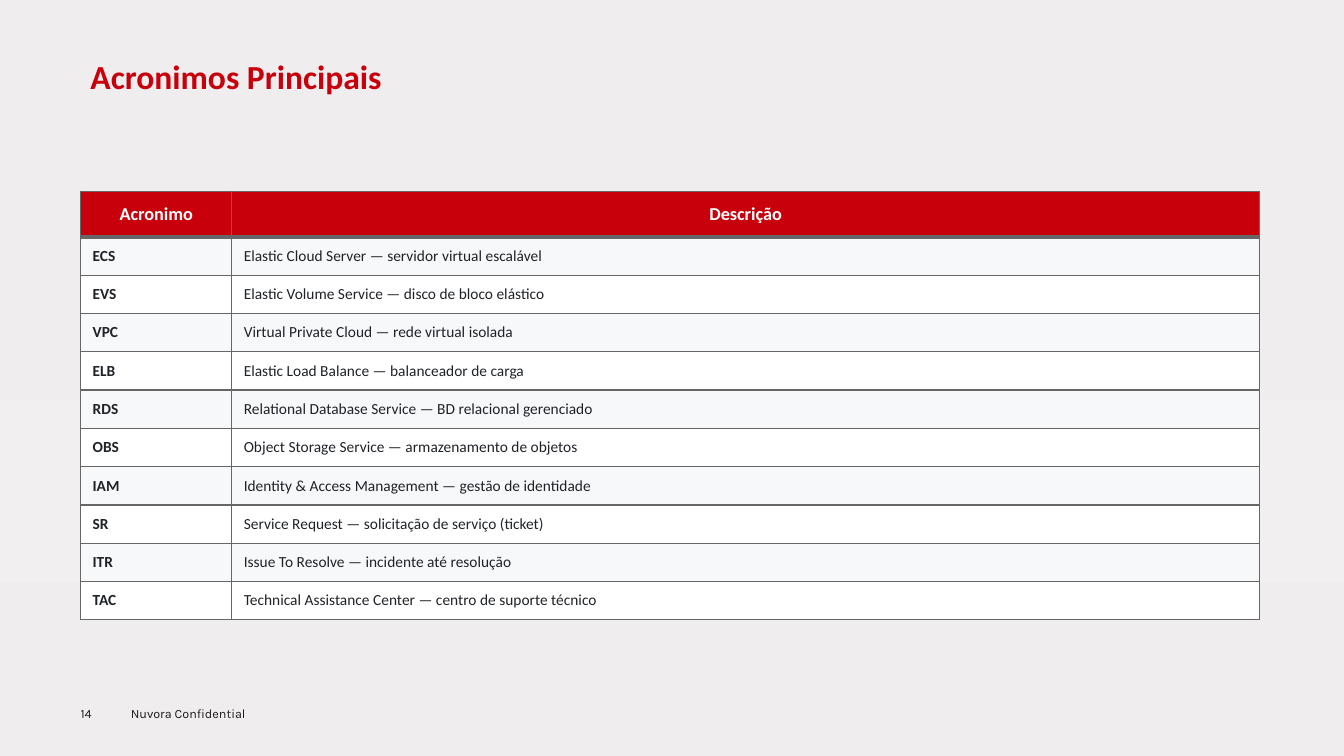
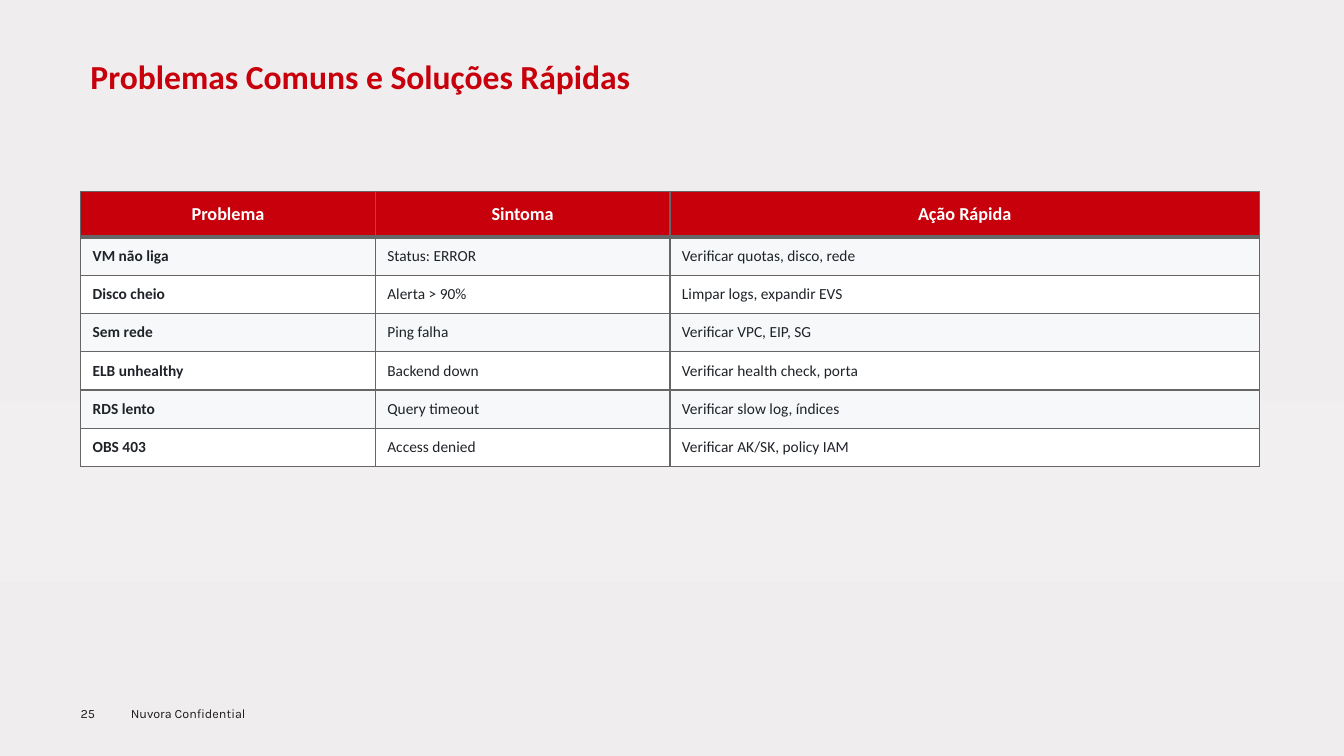
from dataclasses import dataclass

from lxml import etree
from pptx import Presentation
from pptx.dml.color import RGBColor
from pptx.enum.text import MSO_ANCHOR, PP_ALIGN
from pptx.oxml.ns import qn
from pptx.util import Inches, Pt

MIDDLE = MSO_ANCHOR.MIDDLE
LEFT, CENTER = PP_ALIGN.LEFT, PP_ALIGN.CENTER

COLORS = {
    "red": "C7000B",
    "white": "FFFFFF",
    "stripe": "F6F8FA",
    "ink": "1F2328",
    "footer": "1D1D1B",
    "border": "666666",
}
BACKGROUND_STOPS = ((0, "EFEDEE"), (53, "F1EFF0"), (77, "EFEDEE"), (100, "EFEBEC"))

MARGIN_LEFT = 0.8
TABLE_TOP = 1.9
TABLE_WIDTH = 11.7
HEADER_HEIGHT = 0.45
ROW_HEIGHT = 0.38
BORDER_POINTS = 1
HEADER_RULE_POINTS = 3
FOOTER_TEXT = "Nuvora Confidential"


@dataclass(frozen=True)
class TextStyle:
    font: str
    size: int
    color: str
    bold: bool = False
    alignment: PP_ALIGN = LEFT
    line_spacing: float = 1.0


@dataclass(frozen=True)
class Box:
    left: float
    top: float
    width: float
    height: float
    inset_x: float = 0.1
    inset_y: float = 0.05


@dataclass(frozen=True)
class TableSlide:
    number: int
    title: str
    column_shares: tuple[float, ...]
    header: tuple[str, ...]
    rows: tuple[tuple[str, ...], ...]


TITLE_STYLE = TextStyle("Calibri", 24, "red", bold=True, line_spacing=0.9)
FOOTER_STYLE = TextStyle("Karla", 9, "footer")
HEADER_STYLE = TextStyle("Calibri", 13, "white", bold=True, alignment=CENTER)
KEY_STYLE = TextStyle("Calibri", 11, "ink", bold=True)
BODY_STYLE = TextStyle("Calibri", 11, "ink")

TITLE_BOX = Box(MARGIN_LEFT, 0.55, TABLE_WIDTH, 0.5)
FOOTER_BOX = Box(1.2, 6.95, 3.83, 0.25)
NUMBER_BOX = Box(MARGIN_LEFT, 7, 0.55, 0.15, inset_x=0, inset_y=0)

SLIDES = (
    TableSlide(
        14,
        "Acronimos Principais",
        (1.5, 10.2),
        ("Acronimo", "Descrição"),
        (
            ("ECS", "Elastic Cloud Server — servidor virtual escalável"),
            ("EVS", "Elastic Volume Service — disco de bloco elástico"),
            ("VPC", "Virtual Private Cloud — rede virtual isolada"),
            ("ELB", "Elastic Load Balance — balanceador de carga"),
            ("RDS", "Relational Database Service — BD relacional gerenciado"),
            ("OBS", "Object Storage Service — armazenamento de objetos"),
            ("IAM", "Identity & Access Management — gestão de identidade"),
            ("SR", "Service Request — solicitação de serviço (ticket)"),
            ("ITR", "Issue To Resolve — incidente até resolução"),
            ("TAC", "Technical Assistance Center — centro de suporte técnico"),
        ),
    ),
    TableSlide(
        25,
        "Problemas Comuns e Soluções Rápidas",
        (1, 1, 2),
        ("Problema", "Sintoma", "Ação Rápida"),
        (
            ("VM não liga", "Status: ERROR", "Verificar quotas, disco, rede"),
            ("Disco cheio", "Alerta > 90%", "Limpar logs, expandir EVS"),
            ("Sem rede", "Ping falha", "Verificar VPC, EIP, SG"),
            ("ELB unhealthy", "Backend down", "Verificar health check, porta"),
            ("RDS lento", "Query timeout", "Verificar slow log, índices"),
            ("OBS 403", "Access denied", "Verificar AK/SK, policy IAM"),
        ),
    ),
)


def set_attributes(target, values: dict) -> None:
    for name, value in values.items():
        setattr(target, name, value)


def margins(horizontal: float, vertical: float) -> dict:
    return {
        "margin_left": Inches(horizontal),
        "margin_right": Inches(horizontal),
        "margin_top": Inches(vertical),
        "margin_bottom": Inches(vertical),
    }


def write_text(text_frame, text: str, style: TextStyle) -> None:
    paragraph = text_frame.paragraphs[0]
    set_attributes(
        paragraph,
        {"alignment": style.alignment, "line_spacing": style.line_spacing},
    )
    run = paragraph.add_run()
    run.text = text
    set_attributes(
        run.font,
        {"name": style.font, "size": Pt(style.size), "bold": style.bold},
    )
    run.font.color.rgb = RGBColor.from_string(COLORS[style.color])


def add_text(slide, box: Box, text: str, style: TextStyle) -> None:
    shape = slide.shapes.add_textbox(
        Inches(box.left), Inches(box.top), Inches(box.width), Inches(box.height)
    )
    frame_format = {"word_wrap": True, **margins(box.inset_x, box.inset_y)}
    set_attributes(shape.text_frame, frame_format)
    write_text(shape.text_frame, text, style)


def set_background(master) -> None:
    fill = master.background.fill
    fill.gradient()
    fill.gradient_angle = 270
    stop_list = next(master.element.iter(qn("a:gsLst")))
    for stop in list(stop_list):
        stop_list.remove(stop)
    for percent, color in BACKGROUND_STOPS:
        stop = etree.SubElement(stop_list, qn("a:gs"), pos=str(percent * 1000))
        etree.SubElement(stop, qn("a:srgbClr"), val=color)


def set_borders(cell, top: float, bottom: float) -> None:
    properties = cell._tc.get_or_add_tcPr()
    widths = {"lnL": BORDER_POINTS, "lnR": BORDER_POINTS, "lnT": top, "lnB": bottom}
    for index, (tag, width) in enumerate(widths.items()):
        line = etree.Element(qn(f"a:{tag}"), w=str(Pt(width)))
        fill = etree.SubElement(line, qn("a:solidFill"))
        etree.SubElement(fill, qn("a:srgbClr"), val=COLORS["border"])
        properties.insert(index, line)


def format_cell(cell, text: str, row: int, column: int) -> None:
    if row == 0:
        style, fill_color, inset_y = HEADER_STYLE, "red", 0.04
    else:
        style = KEY_STYLE if column == 0 else BODY_STYLE
        fill_color = "stripe" if row % 2 else "white"
        inset_y = 0.03
    set_attributes(cell, {"vertical_anchor": MIDDLE, **margins(0.12, inset_y)})
    cell.fill.solid()
    cell.fill.fore_color.rgb = RGBColor.from_string(COLORS[fill_color])
    set_borders(
        cell,
        top=HEADER_RULE_POINTS if row == 1 else BORDER_POINTS,
        bottom=HEADER_RULE_POINTS if row == 0 else BORDER_POINTS,
    )
    write_text(cell.text_frame, text, style)


def add_data_table(slide, content: TableSlide) -> None:
    rows = (content.header, *content.rows)
    table = slide.shapes.add_table(
        len(rows),
        len(content.header),
        Inches(MARGIN_LEFT),
        Inches(TABLE_TOP),
        Inches(TABLE_WIDTH),
        Inches(HEADER_HEIGHT + ROW_HEIGHT * len(content.rows)),
    ).table
    table.horz_banding = False
    unit = TABLE_WIDTH / sum(content.column_shares)
    for column, share in zip(table.columns, content.column_shares):
        column.width = Inches(share * unit)
    for row_index, texts in enumerate(rows):
        height = ROW_HEIGHT if row_index else HEADER_HEIGHT
        table.rows[row_index].height = Inches(height)
        for column_index, text in enumerate(texts):
            cell = table.cell(row_index, column_index)
            format_cell(cell, text, row_index, column_index)


def add_table_slide(presentation, content: TableSlide) -> None:
    slide = presentation.slides.add_slide(presentation.slide_layouts[6])
    add_text(slide, FOOTER_BOX, FOOTER_TEXT, FOOTER_STYLE)
    add_text(slide, NUMBER_BOX, str(content.number), FOOTER_STYLE)
    add_text(slide, TITLE_BOX, content.title, TITLE_STYLE)
    add_data_table(slide, content)


def main() -> None:
    presentation = Presentation()
    set_attributes(
        presentation, {"slide_width": Inches(13.34), "slide_height": Inches(7.5)}
    )
    set_background(presentation.slide_master)
    for content in SLIDES:
        add_table_slide(presentation, content)
    presentation.save("out.pptx")


if __name__ == "__main__":
    main()
